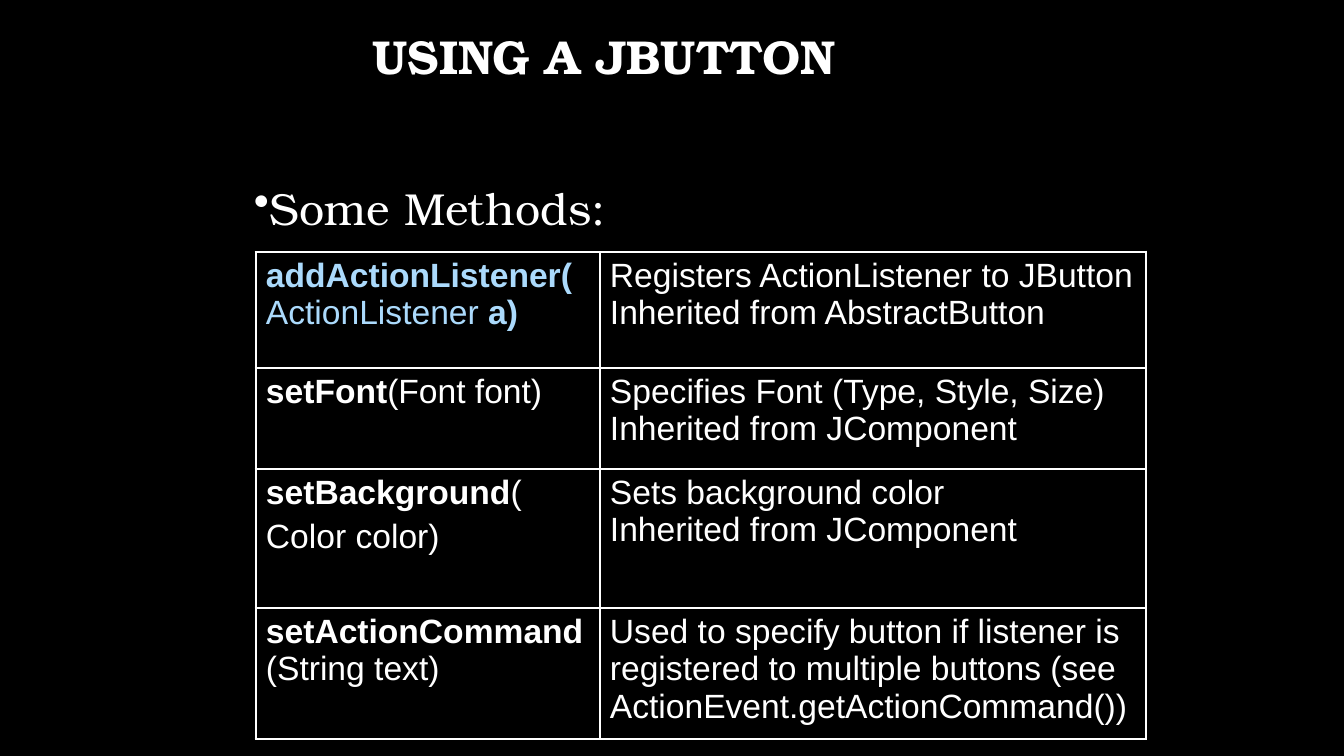
import pptx
import pptx.dml.color
import pptx.enum.text
import pptx.oxml.ns
import pptx.util
from lxml import etree

PX = 12192000 / 1344
WHITE, BLACK, SKY = "FFFFFF", "000000", "ABDAFC"
SERIF, SANS = "TeX Gyre Bonum", "Arial"
THIN, THICK = 1, 2.25

# Each cell holds paragraphs; each paragraph holds (text, bold) runs.
METHODS = [
    ([[("addActionListener(", True), ("ActionListener ", False), ("a)", True)]],
     [[("Registers ActionListener to JButton", False)],
      [("Inherited from AbstractButton", False)]]),
    ([[("setFont", True), ("(Font font)", False)]],
     [[("Specifies Font (Type, Style, Size)", False)],
      [("Inherited from JComponent", False)]]),
    ([[("setBackground", True), ("(", False)], [("Color color)", False)]],
     [[("Sets background color", False)],
      [("Inherited from JComponent", False)]]),
    ([[("setActionCommand", True), ("(String text)", False)]],
     [[("Used to specify button if listener is registered to multiple buttons (see", False)],
      [("ActionEvent.getActionCommand())", False)]]),
]


def px(n):
    return pptx.util.Emu(round(n * PX))


def rgb(code):
    return pptx.dml.color.RGBColor.from_string(code)


def style(font, name, size, color, bold=False):
    look = {"name": name, "size": pptx.util.Pt(size), "bold": bold}
    for key, value in look.items():
        setattr(font, key, value)
    font.color.rgb = rgb(color)


def sub(parent, tag, **attrs):
    node = etree.SubElement(parent, pptx.oxml.ns.qn(tag))
    for key, value in attrs.items():
        node.set(key, str(value))
    return node


def add_line(slide, box, text, size, format, bold=False, bullet=None):
    """Add a text box with one line of serif text."""
    frame = slide.shapes.add_textbox(*map(px, box)).text_frame
    frame.word_wrap = True
    frame.vertical_anchor = pptx.enum.text.MSO_ANCHOR.MIDDLE if bold else pptx.enum.text.MSO_ANCHOR.TOP
    para = frame.paragraphs[0]
    for key, value in format.items():
        setattr(para, key, value)
    if bullet:
        props = para._p.get_or_add_pPr()
        props.set("marL", "0")
        props.set("indent", "0")
        sub(props, "a:buChar", char=bullet)
    run = para.add_run()
    run.text = text
    style(run.font, SERIF, size, WHITE, bold)


def edge(cell, widths):
    """Draw white borders, with widths in points by side."""
    props = cell._tc.get_or_add_tcPr()
    for spot, (side, width) in enumerate(widths.items()):
        line = sub(props, "a:ln" + side, w=pptx.util.Pt(width))
        sub(sub(line, "a:solidFill"), "a:srgbClr", val=WHITE)
        props.insert(spot, line)


def fill_cell(cell, paras, color, gap):
    cell.fill.solid()
    cell.fill.fore_color.rgb = rgb(BLACK)
    for side in ("left", "right"):
        setattr(cell, "margin_" + side, px(10))
    for side in ("top", "bottom"):
        setattr(cell, "margin_" + side, px(5))
    frame = cell.text_frame
    for i, runs in enumerate(paras):
        para = frame.add_paragraph() if i else frame.paragraphs[0]
        para.space_before = pptx.util.Pt(gap if i else 0)
        for text, bold in runs:
            run = para.add_run()
            run.text = text
            style(run.font, SANS, 24, color, bold)


def add_grid(slide, box, cols, rows):
    """Add the table of methods."""
    table = slide.shapes.add_table(len(rows), len(cols), *map(px, box)).table
    table.first_row = table.horz_banding = False
    for col, width in zip(table.columns, cols):
        col.width = px(width)
    for r, height in enumerate(rows):
        table.rows[r].height = px(height)
        for c, paras in enumerate(METHODS[r]):
            cell = table.cell(r, c)
            fill_cell(cell, paras, WHITE if r or c else SKY, 0 if c else 4.8)
            edge(cell, {
                "L": THIN if c else THICK,
                "R": THICK if c else THIN,
                "T": THICK if c and not r else THIN,
                "B": THICK if r == len(rows) - 1 else THIN,
            })


def main():
    deck = pptx.Presentation()
    deck.slide_width, deck.slide_height = px(1344), px(756)
    slide = deck.slides.add_slide(deck.slide_layouts[6])
    slide.background.fill.solid()
    slide.background.fill.fore_color.rgb = rgb(BLACK)
    center = pptx.enum.text.PP_ALIGN.CENTER
    add_line(slide, (67, 17, 1075, 84), "USING A JBUTTON", 34,
             {"alignment": center, "line_spacing": 0.9}, bold=True)
    add_line(slide, (244, 186, 915, 56), "Some Methods:", 32,
             {"line_spacing": 0.8}, bullet="•")
    add_grid(slide, (256, 252, 890, 487), (344, 546), (116, 101, 139, 131))
    deck.save("out.pptx")


if __name__ == "__main__":
    main()
